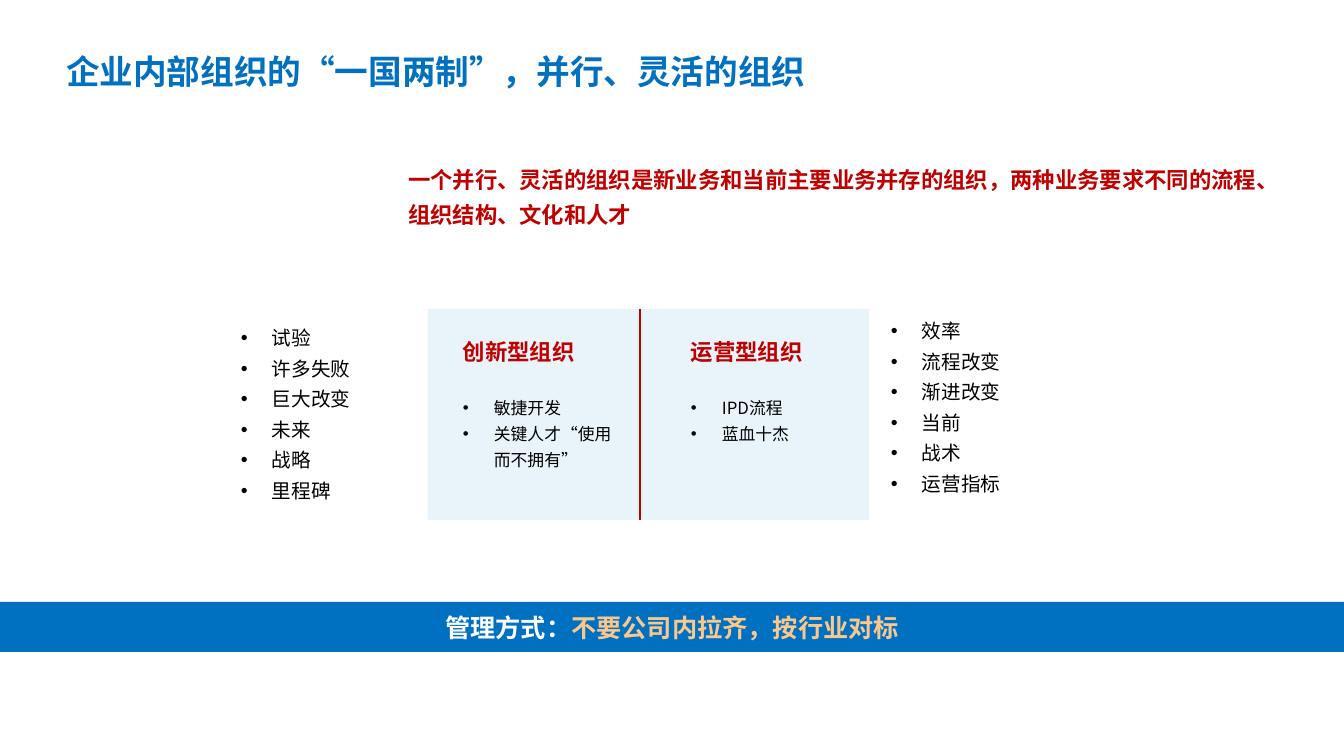
"""Build a slide on parallel innovation and operation organisations."""
from pptx import Presentation
from pptx.dml.color import RGBColor
from pptx.enum.shapes import MSO_CONNECTOR, MSO_SHAPE
from pptx.enum.text import MSO_ANCHOR as ANCHOR, MSO_AUTO_SIZE as AUTO, PP_ALIGN as ALIGN
from pptx.oxml.xmlchemy import OxmlElement
from pptx.util import Pt

SCALE = 914400 / 100.8
CJK = "Noto Sans CJK SC"
BLUE, RED, PALE, BLACK = "0070C0", "C00000", "E9F4FA", "000000"
rgb = RGBColor.from_string


def px(*lengths):
    """Turn pixel lengths into EMU."""
    return [round(n * SCALE) for n in lengths]


def add_line(tf, runs, size, bold=False, bullet=False, spacing=None, font=CJK):
    """Add one paragraph of (text, colour) runs and return it."""
    p = tf.paragraphs[0] if not tf.paragraphs[0].runs else tf.add_paragraph()
    pPr = p._p.get_or_add_pPr()
    indent = px(31)[0] if bullet else 0
    pPr.set("marL", str(indent))
    pPr.set("indent", str(-indent))
    if bullet:
        bu_font = OxmlElement("a:buFont")
        bu_font.set("typeface", "Arial")
        pPr.append(bu_font)
        mark = OxmlElement("a:buChar")
        mark.set("char", "•")
    else:
        mark = OxmlElement("a:buNone")
    pPr.append(mark)
    p.space_before = Pt(0)
    p.line_spacing = spacing
    for text, colour in runs:
        r = p.add_run()
        r.text = text
        r.font.size, r.font.bold, r.font.name = Pt(size), bold, font
        r.font.color.rgb = rgb(colour)
        ea = OxmlElement("a:ea")
        ea.set("typeface", CJK)
        r._r.get_or_add_rPr().append(ea)
    return p


prs = Presentation()
prs.slide_width, prs.slide_height = px(1344, 756)
s = prs.slides.add_slide(prs.slide_layouts[1])
title, body = s.shapes.title, s.placeholders[1]

title.left, title.top, title.width, title.height = px(56, 52, 946, 38)
tf = title.text_frame
tf.auto_size, tf.vertical_anchor = AUTO.NONE, ANCHOR.MIDDLE
p = add_line(tf, [("企业内部组织的“一国两制”，并行、灵活的组织", BLUE)], 24, bold=True)
p.alignment = ALIGN.LEFT

body.left, body.top, body.width, body.height = px(398, 153, 946, 81)
tf = body.text_frame
tf.auto_size, tf.vertical_anchor = AUTO.NONE, ANCHOR.TOP
for text in ("一个并行、灵活的组织是新业务和当前主要业务并存的组织，两种业务要求不同的流程、",
             "组织结构、文化和人才"):
    add_line(tf, [(text, RED)], 16, bold=True, spacing=1.3, font="Arial")

banner = s.shapes.add_shape(MSO_SHAPE.RECTANGLE, *px(0, 602, 1344, 50))
panel = s.shapes.add_shape(MSO_SHAPE.RECTANGLE, *px(428, 309, 441, 211))
for sp, colour in ((banner, BLUE), (panel, PALE)):
    sp.shadow.inherit = False
    sp.fill.solid()
    sp.fill.fore_color.rgb = rgb(colour)
    sp.line.fill.background()

tf = banner.text_frame
tf.vertical_anchor = ANCHOR.MIDDLE
p = add_line(tf, [("管理方式：", "FFFFFF"), ("不要公司内拉齐，按行业对标", "FCC78C")], 18, bold=True)
p.alignment = ALIGN.CENTER

divider = s.shapes.add_connector(MSO_CONNECTOR.STRAIGHT, *px(640, 309, 640, 520))
divider.line.color.rgb = rgb(RED)
divider.line.width = Pt(2)
divider._element.spPr.append(OxmlElement("a:effectLst"))

organisations = [
    (453, 170, "创新型组织", ["敏捷开发", "关键人才“使用而不拥有”"]),
    (681, 143, "运营型组织", ["IPD流程", "蓝血十杰"]),
]
for left, height, heading, items in organisations:
    tf = s.shapes.add_textbox(*px(left, 333, 174, height)).text_frame
    tf.word_wrap = True
    add_line(tf, [(heading, RED)], 16, bold=True)
    points = [add_line(tf, [(item, BLACK)], 12, bullet=True, spacing=1.3) for item in items]
    points[0].space_before = Pt(19)

traits = [
    (231, 314, ["试验", "许多失败", "巨大改变", "未来", "战略", "里程碑"]),
    (881, 307, ["效率", "流程改变", "渐进改变", "当前", "战术", "运营指标"]),
]
for left, top, items in traits:
    tf = s.shapes.add_textbox(*px(left, top, 148, 195)).text_frame
    tf.word_wrap = True
    for item in items:
        add_line(tf, [(item, BLACK)], 14, bullet=True, spacing=1.3)

prs.save("out.pptx")
